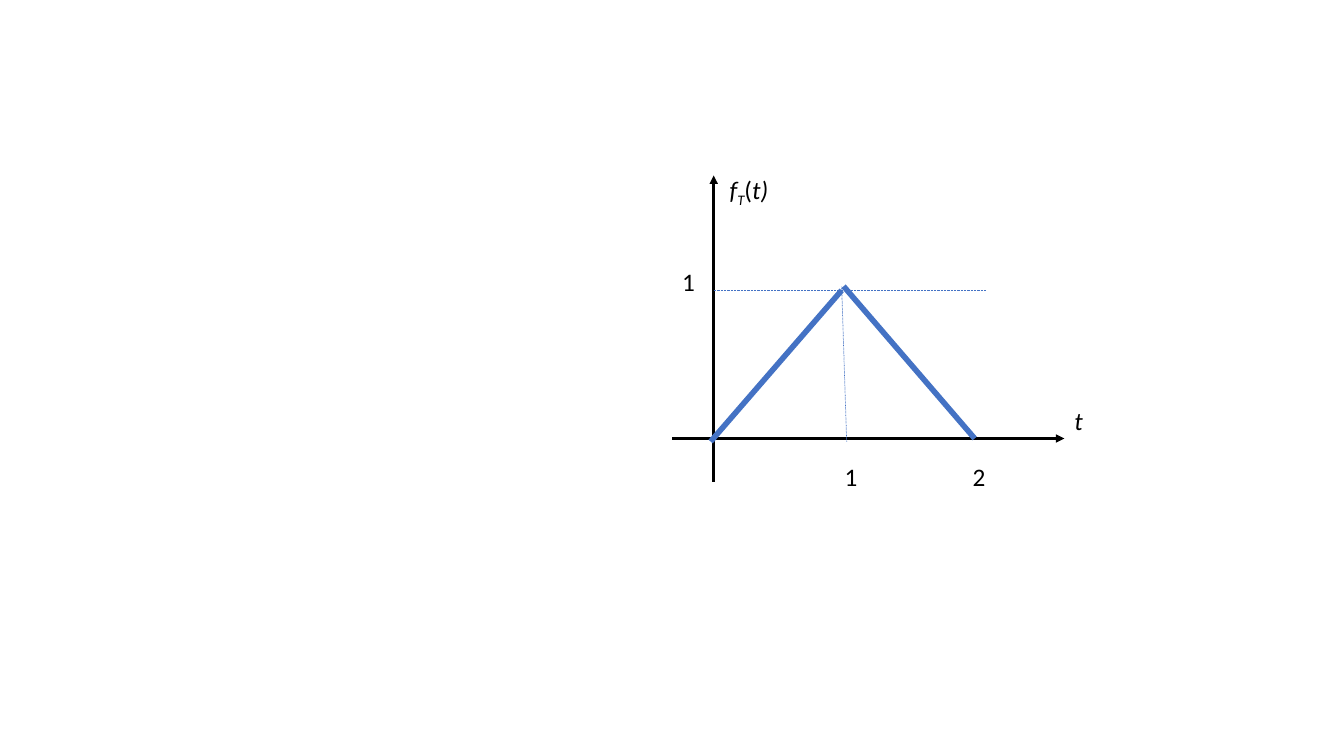
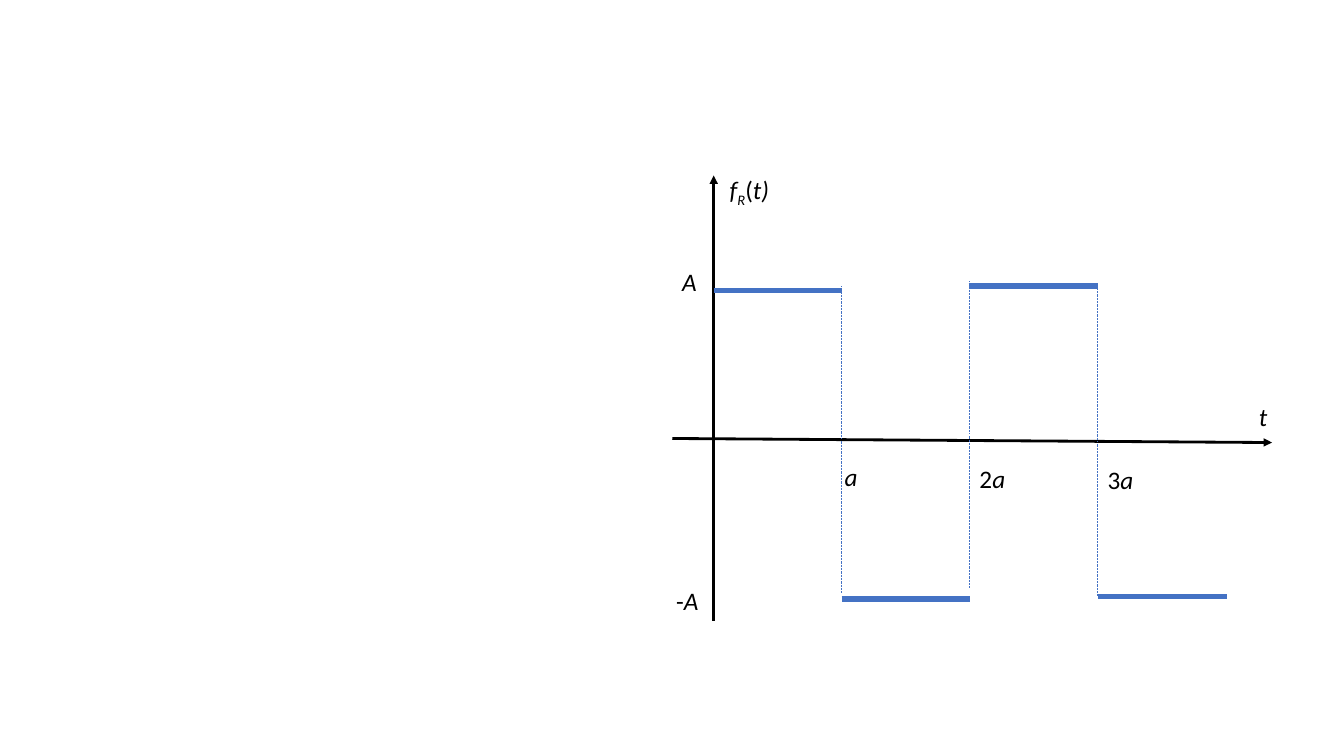
from dataclasses import dataclass
from typing import Any, NamedTuple

from pptx import Presentation
from pptx.dml.color import RGBColor
from pptx.enum.dml import MSO_LINE
from pptx.enum.shapes import MSO_CONNECTOR
from pptx.enum.text import MSO_AUTO_SIZE
from pptx.oxml.ns import qn
from pptx.slide import Slide
from pptx.util import Pt
from lxml.etree import SubElement

# Shared look
COLORS = {"axis": "000000", "text": "000000", "curve": "4472C4", "guide": "4472C4"}
LINE_WIDTHS = {"axis": 2, "curve": 4, "guide": 0.5}
FONT_FORMAT = {"name": "Calibri", "size": Pt(18)}
FRAME_FORMAT = {"auto_size": MSO_AUTO_SIZE.SHAPE_TO_FIT_TEXT}
LABEL_HEIGHT = 28.8

# Places shared by both graphs, in points
AXIS_LEFT, AXIS_TOP = 480.2, 125.3
ORIGIN_X, ORIGIN_Y = 509.8, 313.2
LEVEL_Y = 207.4
FIRST_TICK_X = 601.2
GUIDE_LENGTH, GUIDE_PITCH = 108.7, 110.2


class Run(NamedTuple):
    text: str
    italic: bool = False
    baseline: int = 0


class Stroke(NamedTuple):
    role: str
    start: tuple[float, float]
    end: tuple[float, float]


class Label(NamedTuple):
    runs: list[Run]
    left: float
    top: float
    width: float


@dataclass
class Graph:
    strokes: list[Stroke]
    labels: list[Label]
    wrap: bool


def apply_format(target: Any, values: dict[str, Any]) -> None:
    for name, value in values.items():
        setattr(target, name, value)


def draw_stroke(slide: Slide, stroke: Stroke) -> None:
    points = [Pt(value) for value in (*stroke.start, *stroke.end)]
    connector = slide.shapes.add_connector(MSO_CONNECTOR.STRAIGHT, *points)
    connector.line.color.rgb = RGBColor.from_string(COLORS[stroke.role])
    connector.line.width = Pt(LINE_WIDTHS[stroke.role])
    if stroke.role == "guide":
        connector.line.dash_style = MSO_LINE.ROUND_DOT
    properties = connector.element.spPr
    if stroke.role == "axis":
        SubElement(properties.find(qn("a:ln")), qn("a:tailEnd"), type="triangle")
    SubElement(properties, qn("a:effectLst"))


def draw_label(slide: Slide, label: Label, wrap: bool) -> None:
    box = slide.shapes.add_textbox(
        Pt(label.left), Pt(label.top), Pt(label.width), Pt(LABEL_HEIGHT)
    )
    apply_format(box.text_frame, FRAME_FORMAT | {"word_wrap": wrap})
    paragraph = box.text_frame.paragraphs[0]
    for part in label.runs:
        run = paragraph.add_run()
        run.text = part.text
        apply_format(run.font, FONT_FORMAT | {"italic": part.italic})
        run.font.color.rgb = RGBColor.from_string(COLORS["text"])
        if part.baseline:
            run.font._element.set("baseline", str(part.baseline))


def function_name(subscript: str, width: float) -> Label:
    runs = [Run("f", True), Run(subscript, True, -25000), Run("("), Run("t)", True)]
    return Label(runs, 514.1, 121, width)


def axes(right: float, right_y: float, bottom: float) -> list[Stroke]:
    return [
        Stroke("axis", (AXIS_LEFT, ORIGIN_Y), (right, right_y)),
        Stroke("axis", (ORIGIN_X, bottom), (ORIGIN_X, AXIS_TOP)),
    ]


def split_guide(x: float, top: float) -> list[Stroke]:
    """A tall dotted line, made of one half above the axis and one below."""
    starts = (top, top + GUIDE_PITCH)
    return [Stroke("guide", (x, y + GUIDE_LENGTH), (x, y)) for y in starts]


def draw_graph(presentation: Any, graph: Graph) -> None:
    slide = presentation.slides.add_slide(presentation.slide_layouts[6])
    for stroke in graph.strokes:
        draw_stroke(slide, stroke)
    for label in graph.labels:
        draw_label(slide, label, graph.wrap)


# Triangular function
triangle = Graph(
    strokes=[
        *axes(760.3, ORIGIN_Y, 344.2),
        Stroke("curve", (507.6, 315.4), (FIRST_TICK_X, LEVEL_Y)),
        Stroke("guide", (604.8, 315.4), (FIRST_TICK_X, 204.5)),
        Stroke("guide", (704.2, LEVEL_Y), (ORIGIN_X, LEVEL_Y)),
        Stroke("curve", (602.6, 204.5), (696.2, ORIGIN_Y)),
    ],
    labels=[
        Label([Run("1")], AXIS_LEFT, 186.5, 23.8),
        Label([Run("1")], 596.2, 326.2, 23.8),
        Label([Run("2")], 687.6, 326.2, 23.8),
        function_name("T", 43.9),
        Label([Run("t", True)], 760.3, 285.8, 20.9),
    ],
    wrap=False,
)

# Square wave: level steps as (left, right, y), guides as (x, top)
STEPS = [
    (ORIGIN_X, FIRST_TICK_X, LEVEL_Y),
    (FIRST_TICK_X, 692.6, 427.7),
    (691.9, 784.1, 204.5),
    (784.1, 876.2, 426.2),
]
GUIDES = [(FIRST_TICK_X, 204.5), (692.6, 200.9), (784.1, 206.6)]

square_wave = Graph(
    strokes=[
        *axes(908.6, 316.1, 443.5),
        *(Stroke("curve", (left, y), (right, y)) for left, right, y in STEPS),
        *(half for x, top in GUIDES for half in split_guide(x, top)),
    ],
    labels=[
        Label([Run("A", True)], AXIS_LEFT, 186.5, 23.8),
        Label([Run("-"), Run("A", True)], 475.9, 414.7, 33.8),
        Label([Run("a", True)], 596.2, 326.2, 38.9),
        Label([Run("2"), Run("a", True)], 692.6, 327.6, 46.1),
        Label([Run("3"), Run("a", True)], 784.1, 328.3, 46.1),
        function_name("R", 56.9),
        Label([Run("t", True)], 892.1, 283, 20.9),
    ],
    wrap=True,
)

# Build the slides
presentation = Presentation()
apply_format(presentation, {"slide_width": Pt(960), "slide_height": Pt(540)})
for graph in (triangle, square_wave):
    draw_graph(presentation, graph)
presentation.save("out.pptx")
